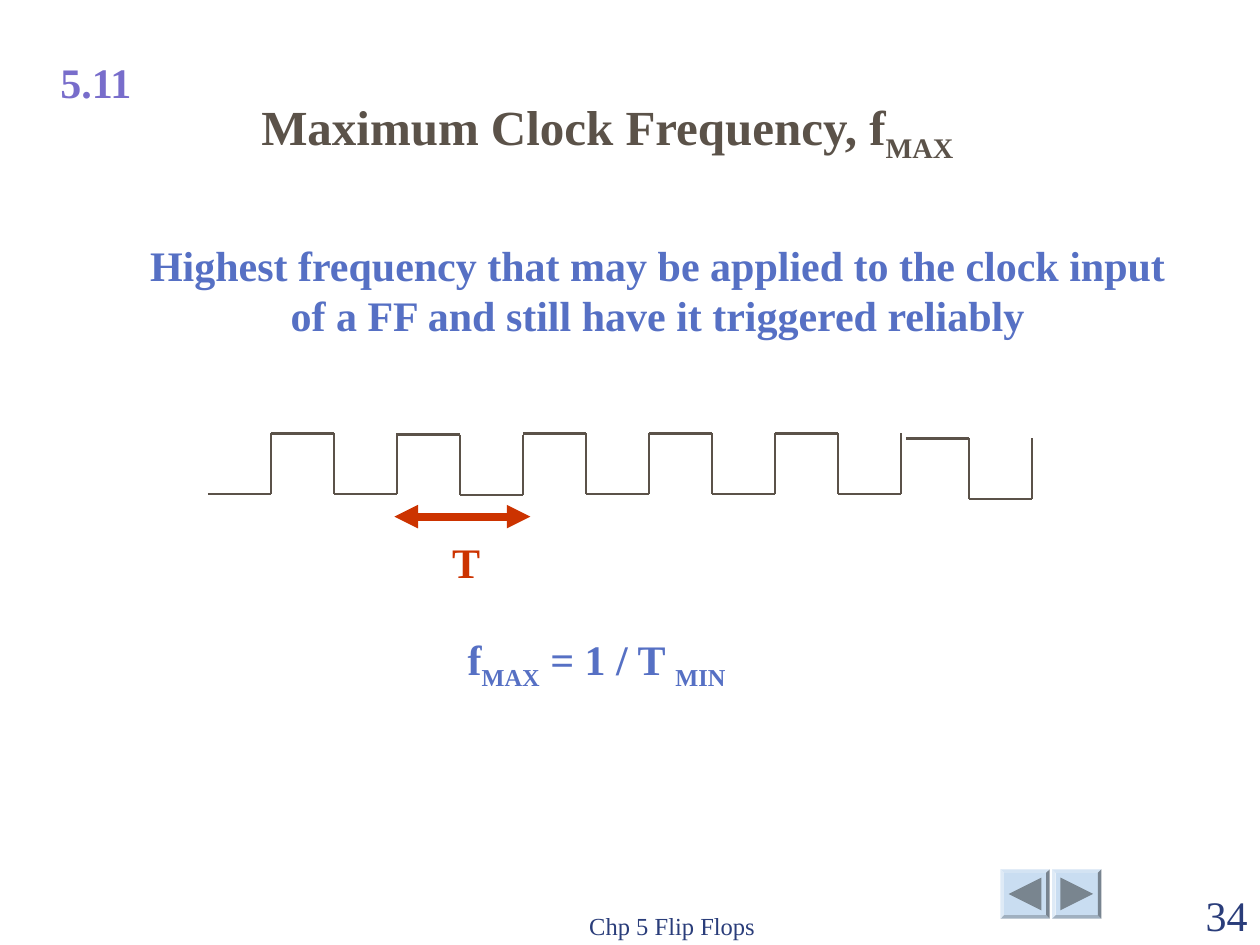
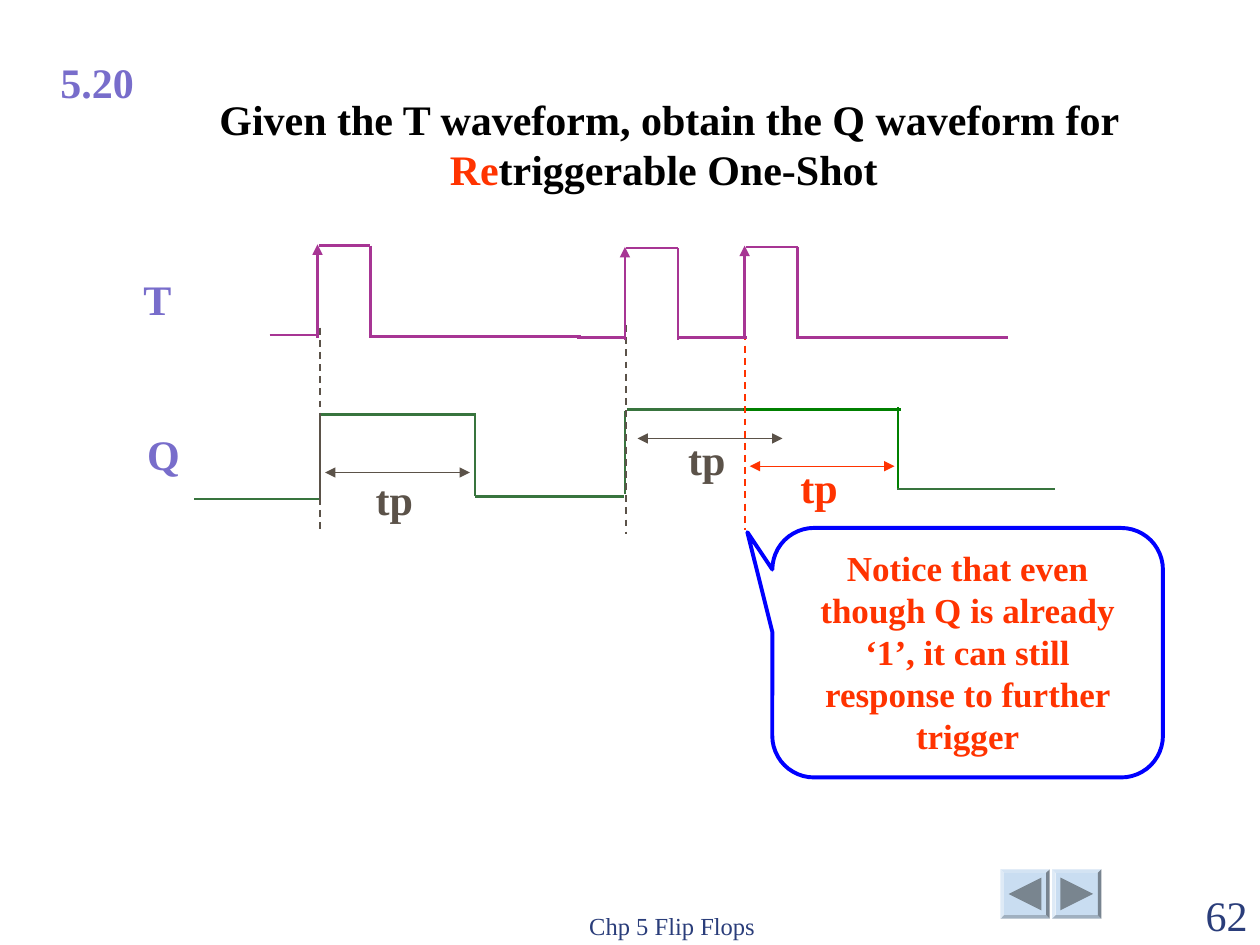
from dataclasses import dataclass

import pptx
import pptx.dml.color
import pptx.enum.dml
import pptx.enum.shapes
import pptx.enum.text
import pptx.oxml.ns
import pptx.util
from lxml import etree

SCALE = 9144  # EMU in one px, 100 px to the inch
SHAPE = pptx.enum.shapes.MSO_SHAPE
ALIGN = pptx.enum.text.PP_ALIGN
ANCHOR = pptx.enum.text.MSO_ANCHOR


@dataclass(frozen=True)
class Theme:
    font: str = "Times New Roman"
    violet: str = "786DCB"
    brown: str = "5B5249"
    blue: str = "5670C4"
    navy: str = "2A3D7A"
    rust: str = "CC3300"
    red: str = "FF3300"
    magenta: str = "A73594"
    green: str = "38743E"
    bright_green: str = "008000"
    outline: str = "0000FF"
    black: str = "000000"
    button: str = "C9DDF1"
    button_mark: str = "79858F"
    title: int = 28
    body: int = 24
    note: int = 20
    footer: int = 14
    wave: float = 1.5


T = Theme()


def px(*lengths):
    return [pptx.util.Emu(round(n * SCALE)) for n in lengths]


def rgb(color):
    return pptx.dml.color.RGBColor.from_string(color)


def write(sp, content, size=T.body, color=T.blue, bold=True,
          align=ALIGN.CENTER, anchor=ANCHOR.TOP, wrap=True):
    """Fill a shape with one paragraph; content is a string or (text, overrides) runs."""
    tf = sp.text_frame
    tf.word_wrap = wrap
    tf.vertical_anchor = anchor
    p = tf.paragraphs[0]
    p.alignment = align
    runs = [(content, {})] if isinstance(content, str) else content
    for value, own in runs:
        r = p.add_run()
        r.text = value
        r.font.name = T.font
        r.font.size = pptx.util.Pt(size)
        r.font.bold = bold
        r.font.color.rgb = rgb(own.get("color", color))
        if own.get("sub"):
            r._r.get_or_add_rPr().set("baseline", "-25000")


def text(s, box, content, **style):
    write(s.shapes.add_textbox(*px(*box)), content, **style)


def line(s, start, end, color, width=T.wave, dash=False, head=False, tail=False):
    cn = s.shapes.add_connector(
        pptx.enum.shapes.MSO_CONNECTOR.STRAIGHT, *px(*start, *end))
    cn.line.color.rgb = rgb(color)
    cn.line.width = pptx.util.Pt(width)
    if dash:
        cn.line.dash_style = pptx.enum.dml.MSO_LINE.DASH
    qn = pptx.oxml.ns.qn
    ln = cn.line._get_or_add_ln()
    for wanted, tag in ((head, "a:headEnd"), (tail, "a:tailEnd")):
        if wanted:
            etree.SubElement(ln, qn(tag)).set("type", "triangle")
    etree.SubElement(cn._element.spPr, qn("a:effectLst"))


def trace(s, points, color):
    """Join successive points with straight lines."""
    for start, end in zip(points, points[1:]):
        line(s, start, end, color)


def solid(s, kind, box, color):
    sp = s.shapes.add_shape(kind, *px(*box))
    sp.shadow.inherit = False
    sp.fill.solid()
    sp.fill.fore_color.rgb = rgb(color)
    sp.line.fill.background()
    return sp


def nav_button(s, left, top, rotation):
    solid(s, SHAPE.BEVEL, (left, top, 39, 39), T.button).adjustments[0] = 0.07
    mark = solid(s, SHAPE.ISOSCELES_TRIANGLE,
                 (left + 6.5, top + 6.5, 26, 26), T.button_mark)
    mark.rotation = rotation


def base_slide(prs, section, number):
    """Add a slide with its section number, navigation buttons and footer."""
    s = prs.slides.add_slide(prs.slide_layouts[6])
    for i, rotation in enumerate((270, 90)):
        nav_button(s, 794 + 41 * i, 690, rotation)
    text(s, (38, 40, 78, 50), section, color=T.violet, align=ALIGN.LEFT, wrap=False)
    footer = dict(color=T.navy, bold=False, anchor=ANCHOR.BOTTOM)
    text(s, (375, 701, 317, 50), "Chp 5 Flip Flops", size=T.footer, **footer)
    text(s, (900, 701, 100, 50), str(number), align=ALIGN.RIGHT, **footer)
    return s


def clock_train(s, left, top):
    half, height = 50, 48
    trace(s, [(left, top + height), (left + half, top + height),
              (left + half, top)], T.brown)
    for i, (dx, dy) in enumerate([(0, 0), (0, 1), (0, 0), (0, 0), (0, 0), (4, 4)]):
        x, y = left + half + 2 * half * i + dx, top + dy
        trace(s, [(x, y), (x + half, y), (x + half, y + height),
                  (x + 2 * half, y + height), (x + 2 * half, y)], T.brown)
    line(s, (left + 148, top + 66), (left + 256, top + 66), T.rust, 4.5,
         head=True, tail=True)
    text(s, (left + 183, top + 77, 44, 50), "T", color=T.rust)


def trigger_wave(s, left, top):
    """Draw the T input: three pulses with rising-edge arrows."""
    height, width = 73, 42
    for dx, dy in ((38, 1), (282, 3), (377, 2)):
        x, y = left + dx, top + dy
        line(s, (x, y + height), (x, y - 1), T.magenta, tail=True)
        trace(s, [(x + 1, y), (x + width, y), (x + width, y + height)], T.magenta)
    for x1, x2, y in ((0, 38, 72), (80, 247, 73), (244, 282, 74),
                      (325, 379, 74), (419, 586, 74)):
        line(s, (left + x1, top + y), (left + x2, top + y), T.magenta)


def output_wave(s, left, top):
    """Draw the Q output."""
    for x1, y1, x2, y2, color, width in (
            (0, 71, 99, 71, T.green, T.wave),
            (100, 73, 100, 5, T.brown, T.wave),
            (100, 4, 223, 4, T.green, T.wave),
            (223, 3, 223, 69, T.green, T.wave),
            (223, 69, 341, 69, T.green, T.wave),
            (342, 67, 342, 1, T.green, T.wave),
            (344, 0, 468, 0, T.green, T.wave),
            (436, 0, 561, 0, T.bright_green, 1.25),
            (559, -2, 559, 63, T.bright_green, 1.25),
            (558, 63, 683, 63, T.green, T.wave)):
        line(s, (left + x1, top + y1), (left + x2, top + y2), color, width)


def pulse_span(s, left, top, color, lift=9):
    """Mark one pulse time with a double arrow and its label."""
    line(s, (left, top), (left + 115, top), color, 0.75, head=True, tail=True)
    text(s, (left + 29, top - lift, 52, 50), "tp", color=color)


def callout(s, box, content):
    sp = s.shapes.add_shape(SHAPE.ROUNDED_RECTANGULAR_CALLOUT, *px(*box))
    sp.shadow.inherit = False
    sp.fill.background()
    sp.line.color.rgb = rgb(T.outline)
    sp.line.width = pptx.util.Pt(2.25)
    for i, value in enumerate((-0.564, -0.483, 0.167)):
        sp.adjustments[i] = value
    write(sp, content, size=T.note, color=T.red)


def frequency_slide(prs):
    s = base_slide(prs, "5.11", 34)
    sub = {"sub": True}
    text(s, (196, 72, 572, 63),
         [("Maximum Clock Frequency, f", {}), ("MAX", sub)],
         size=T.title, color=T.brown, wrap=False)
    text(s, (105, 185, 834, 90),
         "Highest frequency that may be applied to the clock input "
         "of a FF and still have it triggered reliably")
    clock_train(s, 165, 344)
    text(s, (283, 498, 381, 56),
         [("f", {}), ("MAX", sub), (" = 1 / T ", {}), ("MIN", sub)])


def one_shot_slide(prs):
    s = base_slide(prs, "5.20", 62)
    text(s, (129, 69, 804, 90),
         [("Given the T waveform, obtain the Q waveform for ", {}),
          ("Re", {"color": T.red}), ("triggerable One-Shot ", {})], color=T.black)
    for name, box in (("T", (104, 212, 54, 50)), ("Q", (107, 335, 42, 50))):
        text(s, box, name, color=T.violet, align=ALIGN.LEFT)
    output_wave(s, 154, 325)
    for x, y1, y2, color in ((254, 260, 423, T.brown), (497, 258, 424, T.brown),
                             (591, 255, 421, T.red)):
        line(s, (x, y1), (x, y2), color, 1, dash=True)
    trigger_wave(s, 214, 194)
    pulse_span(s, 258, 375, T.brown, lift=4)
    pulse_span(s, 506, 348, T.brown)
    pulse_span(s, 595, 370, T.red)
    callout(s, (613, 419, 310, 198),
            "Notice that even though Q is already ‘1’, "
            "it can still response to further trigger")


def main():
    prs = pptx.Presentation()
    prs.slide_width, prs.slide_height = px(1000, 750)
    frequency_slide(prs)
    one_shot_slide(prs)
    prs.save("out.pptx")


if __name__ == "__main__":
    main()
